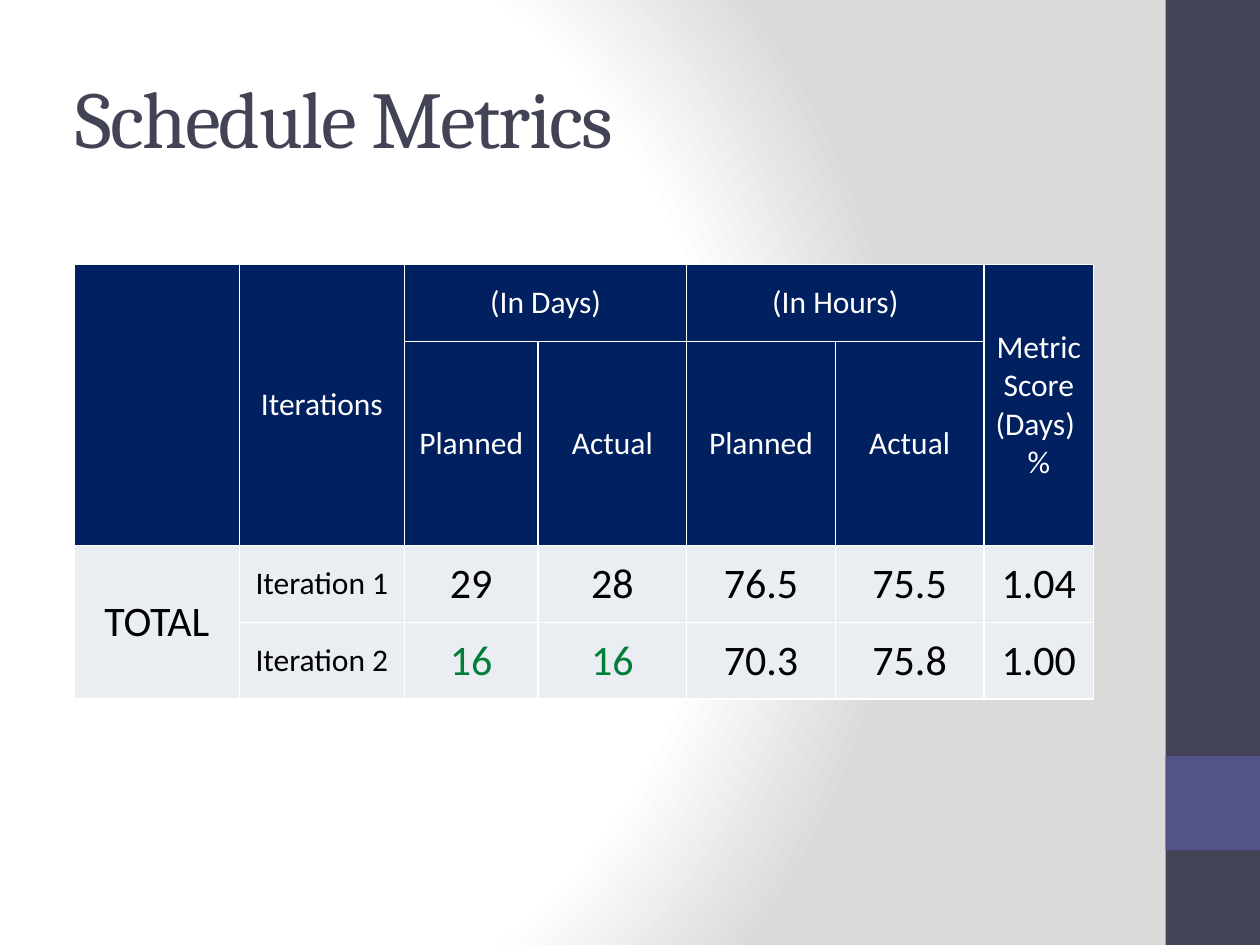
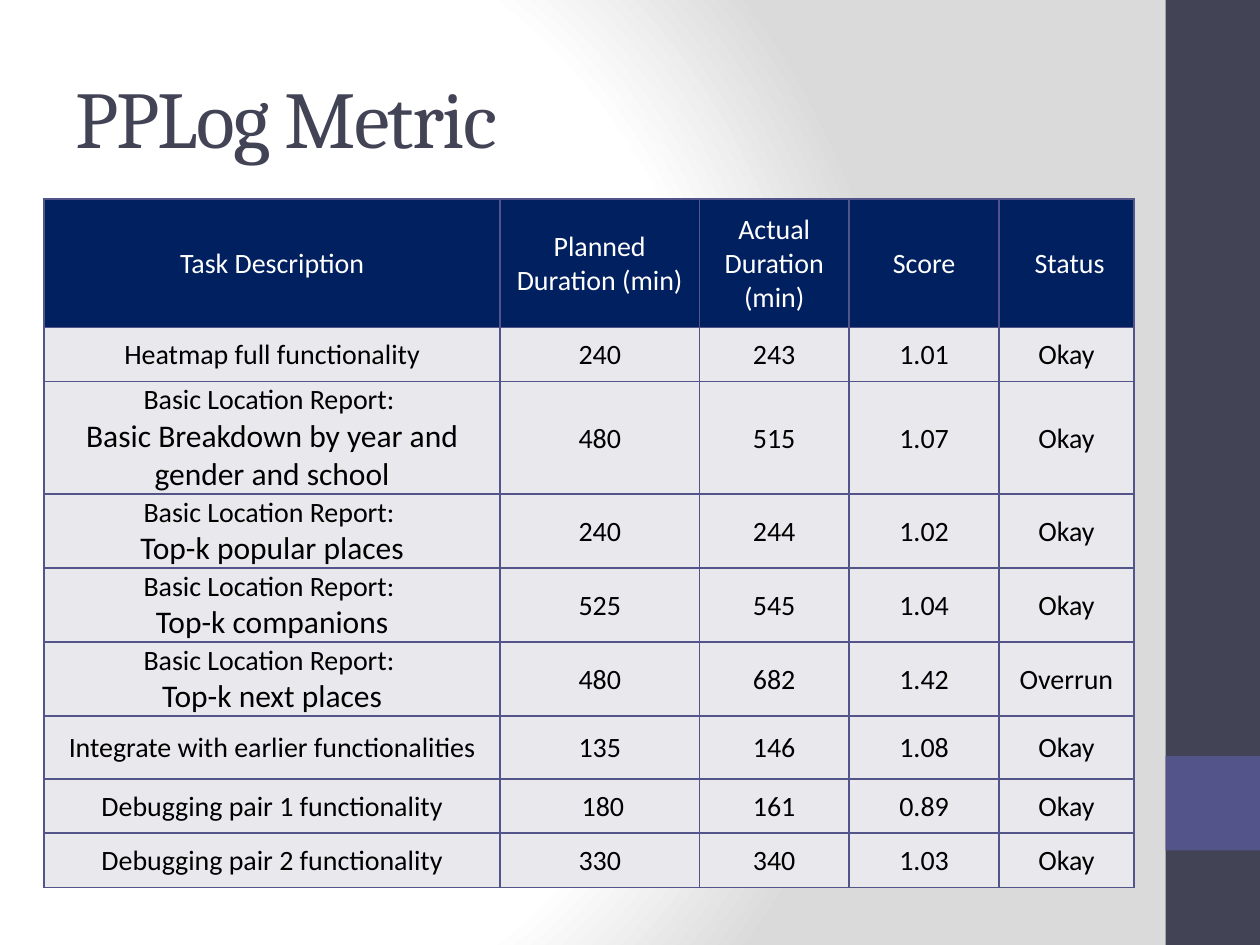
from pptx import Presentation
from pptx.dml.color import RGBColor
from pptx.enum.shapes import MSO_SHAPE
from pptx.enum.text import MSO_ANCHOR, PP_ALIGN
from pptx.oxml import parse_xml
from pptx.oxml.ns import nsdecls, qn
from pptx.util import Inches, Pt

RECTANGLE = MSO_SHAPE.RECTANGLE
MIDDLE = MSO_ANCHOR.MIDDLE
LEFT, CENTER = PP_ALIGN.LEFT, PP_ALIGN.CENTER

# Shared style
SLATE, VIOLET, NAVY = "424456", "53548A", "002060"
WHITE, BLACK, GREEN, GREY = "FFFFFF", "000000", "007E39", "DADADA"
HEADING_FONT, BODY_FONT = "Cambria", "Calibri"
BANDS = [((9.25, 0, 0.75, 7.5), SLATE), ((9.25, 6, 0.75, 0.75), VIOLET)]
TITLE_BOX = (0.5, 0.3, 8.33, 1.25)
GRADIENT_STOPS = [(0, WHITE), (75, WHITE), (100, GREY)]

# Content: "\n" separates the paragraphs of a cell
SCHEDULE = {
    "title": "Schedule Metrics",
    "position": (0.59, 2.1),
    "columns": [1.31, 1.31, 1.06, 1.18, 1.18, 1.18, 0.87],
    "heights": [0.61, 1.62, 0.61, 0.61],
    "header_rows": 2,
    "merges": [(0, 0, 1, 0), (0, 1, 1, 1), (0, 2, 0, 3), (0, 4, 0, 5),
               (0, 6, 1, 6), (2, 0, 3, 0)],
    "rows": [
        ["", "Iterations", "(In Days)", "", "(In Hours)", "", "Metric Score (Days) \n%"],
        ["", "", "Planned", "Actual", "Planned", "Actual", ""],
        ["TOTAL", "Iteration 1", "29", "28", "76.5", "75.5", "1.04"],
        ["", "Iteration 2", "16", "16", "70.3", "75.8", "1.00"],
    ],
    "header_size": 18,
    "body_size": 24,
    "small_columns": [1],
    "small_size": 18,
    "detail_size": 24,
    "green_cells": [(3, 2), (3, 3)],
    "body_fill": "EAEEF3",
    "border": WHITE,
    "margins": (0, 0, 0, 0),
}
REPORT = "Basic Location Report: \n"
PAIR_LOG = {
    "title": "PPLog Metric",
    "position": (0.35, 1.58),
    "columns": [3.62, 1.58, 1.19, 1.19, 1.07],
    "heights": [1.02, 0.43] + [0.5] * 5 + [0.43] * 2,
    "header_rows": 1,
    "merges": [],
    "rows": [
        ["Task Description", "Planned Duration (min)", "Actual Duration (min)",
         "Score", " Status"],
        ["Heatmap full functionality", "240", "243", "1.01", "Okay"],
        [REPORT + "Basic Breakdown by year and gender and school",
         "480", "515", "1.07", "Okay"],
        [REPORT + "Top-k popular places", "240", "244", "1.02", "Okay"],
        [REPORT + "Top-k companions", "525", "545", "1.04", "Okay"],
        [REPORT + "Top-k next places", "480", "682", "1.42", "Overrun"],
        ["Integrate with earlier functionalities", "135", "146", "1.08", "Okay"],
        ["Debugging pair 1 functionality", "\u00a0180", "161", "0.89", "Okay"],
        ["Debugging pair 2 functionality", "330", "340", "1.03", "Okay"],
    ],
    "header_size": 16,
    "body_size": 16,
    "small_columns": [],
    "small_size": 16,
    "detail_size": 18,
    "green_cells": [],
    "body_fill": "E9E9ED",
    "border": VIOLET,
    "margins": (0.01, 0.01, 0.01, 0),
}


def color(value):
    return RGBColor.from_string(value)


def style_paragraph(paragraph, font_name, size, font_color, alignment):
    paragraph.alignment = alignment
    font = paragraph.font
    font.name, font.size, font.bold = font_name, Pt(size), False
    font.color.rgb = color(font_color)


def set_background(layout):
    stops = "".join(f'<a:gs pos="{position * 1000}"><a:srgbClr val="{value}"/></a:gs>'
                    for position, value in GRADIENT_STOPS)
    gradient = parse_xml(
        f'<a:gradFill {nsdecls("a")} rotWithShape="1"><a:gsLst>{stops}</a:gsLst>'
        '<a:path path="circle"><a:fillToRect l="20000" t="50000" r="100000" b="50000"/>'
        '</a:path></a:gradFill>')
    layout.background.fill.solid()
    solid = layout.element.find(".//" + qn("p:bgPr")).find(qn("a:solidFill"))
    solid.getparent().replace(solid, gradient)


def add_bands(slide, layout):
    """Draw the side bands and move them to the layout, behind its placeholders."""
    for index, (box, fill) in enumerate(BANDS):
        band = slide.shapes.add_shape(RECTANGLE, *map(Inches, box))
        band.shadow.inherit = False
        band.fill.solid()
        band.fill.fore_color.rgb = color(fill)
        band.line.fill.background()
        layout.shapes.element.insert(2 + index, band.element)


def add_title(slide, text):
    title = slide.shapes.title
    title.left, title.top, title.width, title.height = map(Inches, TITLE_BOX)
    title.text_frame.text = text
    title.text_frame.vertical_anchor = MIDDLE
    paragraph = title.text_frame.paragraphs[0]
    style_paragraph(paragraph, HEADING_FONT, 46, SLATE, LEFT)
    paragraph.runs[0].font._element.set("spc", "-100")


def set_borders(cell, border):
    properties = cell._tc.get_or_add_tcPr()
    for index, side in enumerate(("lnL", "lnR", "lnT", "lnB")):
        properties.insert(index, parse_xml(
            f'<a:{side} {nsdecls("a")} w="12700"><a:solidFill>'
            f'<a:srgbClr val="{border}"/></a:solidFill></a:{side}>'))


def fill_cell(cell, text, row, column, data):
    is_header = row < data["header_rows"]
    cell.fill.solid()
    cell.fill.fore_color.rgb = color(NAVY if is_header else data["body_fill"])
    set_borders(cell, data["border"])
    (cell.margin_left, cell.margin_top,
     cell.margin_right, cell.margin_bottom) = map(Inches, data["margins"])
    cell.vertical_anchor = MIDDLE
    cell.text_frame.text = text
    for line, paragraph in enumerate(cell.text_frame.paragraphs):
        if is_header:
            size, font_color = data["header_size"], WHITE
        else:
            size = data["small_size"] if column in data["small_columns"] else data["body_size"]
            size = data["detail_size"] if line else size
            font_color = GREEN if (row, column) in data["green_cells"] else BLACK
        style_paragraph(paragraph, BODY_FONT, size, font_color, CENTER)


def add_metrics_table(slide, data):
    columns, heights = data["columns"], data["heights"]
    table = slide.shapes.add_table(
        len(heights), len(columns), *map(Inches, data["position"]),
        Inches(sum(columns)), Inches(sum(heights))).table
    table.first_row = table.horz_banding = False
    for column, width in zip(table.columns, columns):
        column.width = Inches(width)
    for row, height in zip(table.rows, heights):
        row.height = Inches(height)
    for row, texts in enumerate(data["rows"]):
        for column, text in enumerate(texts):
            fill_cell(table.cell(row, column), text, row, column, data)
    for top, left, bottom, right in data["merges"]:
        table.cell(top, left).merge(table.cell(bottom, right))


# Build the slides
presentation = Presentation()
presentation.slide_width, presentation.slide_height = Inches(10), Inches(7.5)
title_only = presentation.slide_layouts[5]
set_background(title_only)
for number, content in enumerate((SCHEDULE, PAIR_LOG)):
    slide = presentation.slides.add_slide(title_only)
    if number == 0:
        add_bands(slide, title_only)
    add_title(slide, content["title"])
    add_metrics_table(slide, content)
presentation.save("out.pptx")
